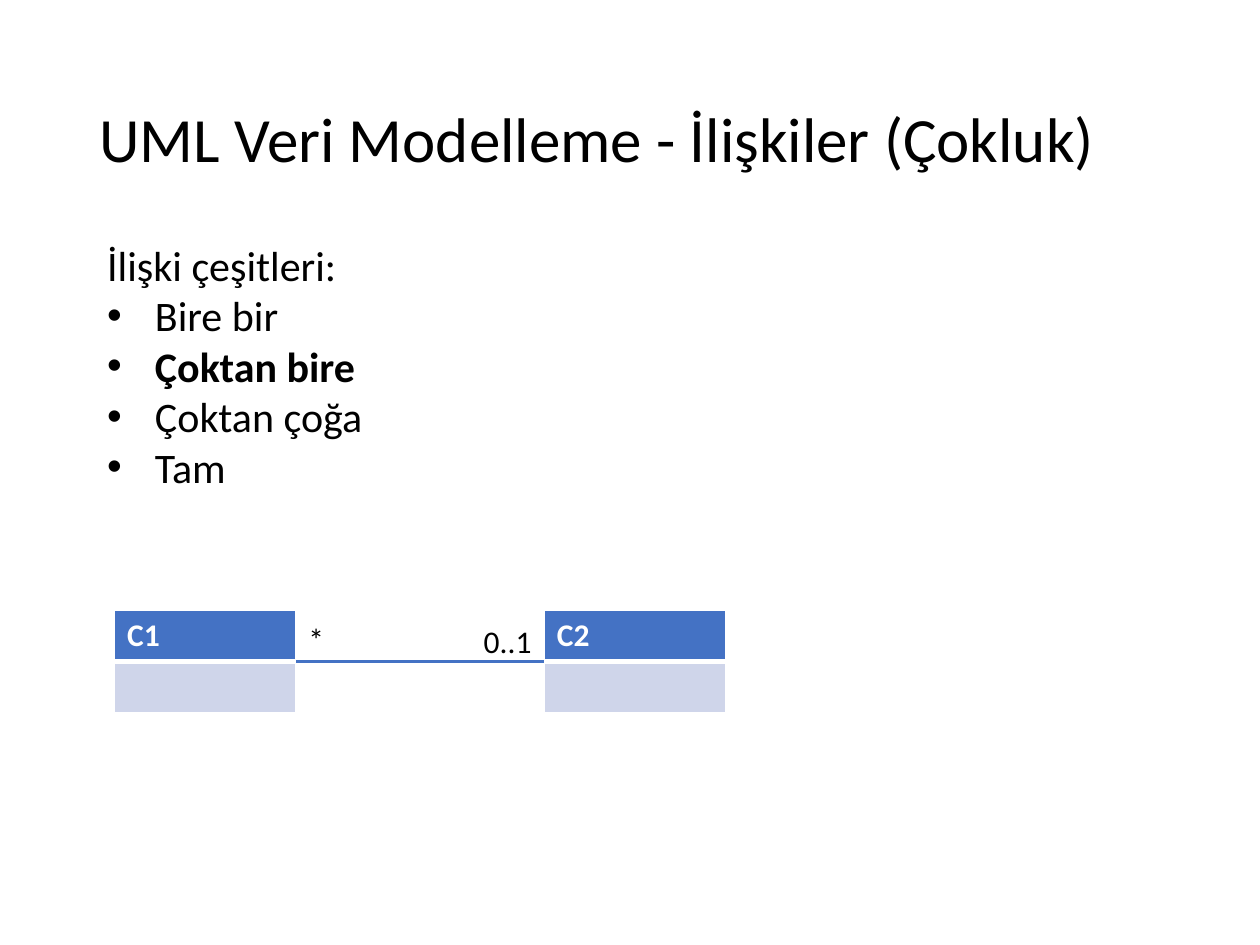
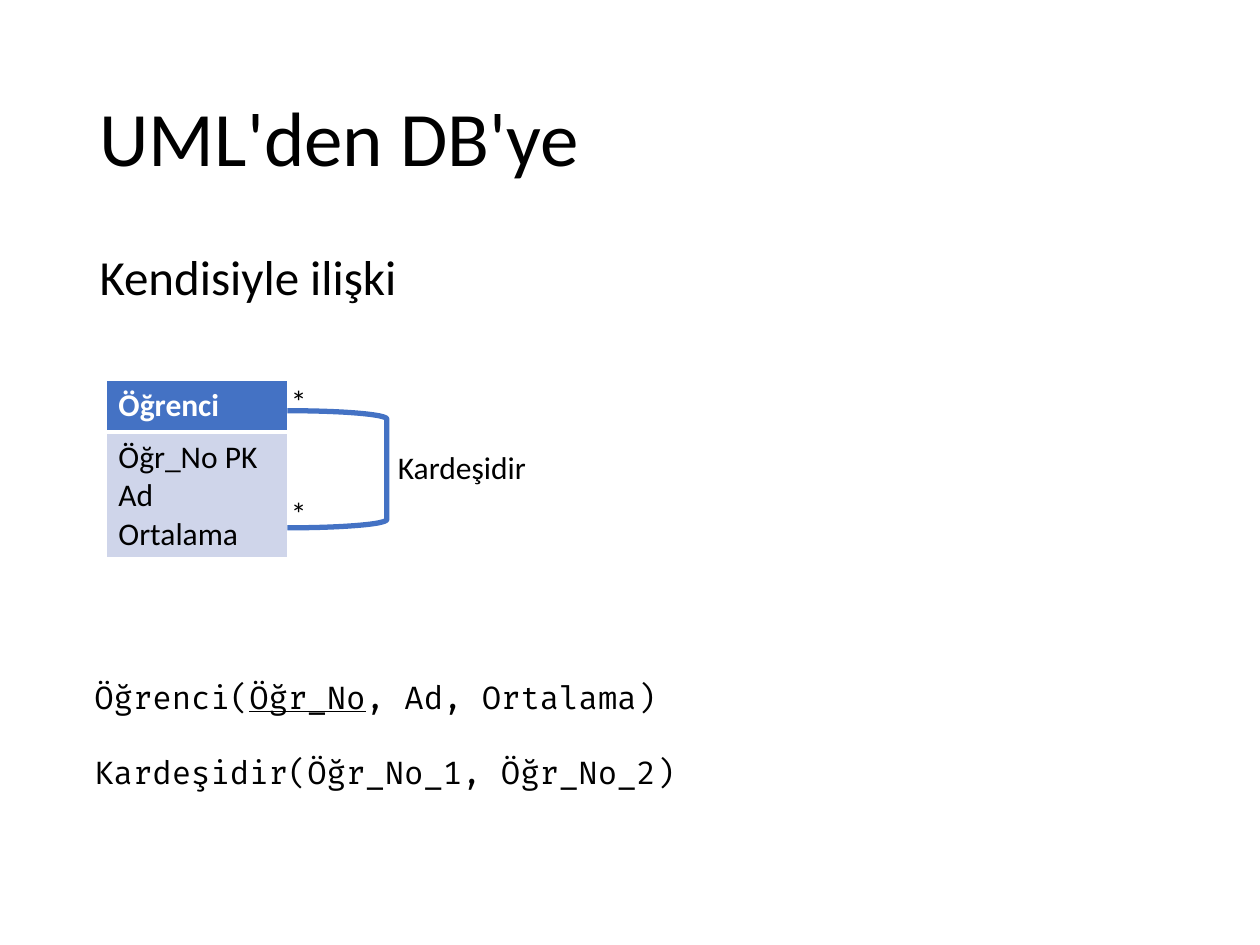
from dataclasses import dataclass

from lxml.etree import SubElement
from pptx import Presentation
from pptx.dml.color import RGBColor
from pptx.enum.shapes import MSO_CONNECTOR, MSO_SHAPE
from pptx.enum.text import MSO_ANCHOR, MSO_AUTO_SIZE, PP_ALIGN
from pptx.oxml.ns import qn
from pptx.util import Inches, Pt

BLUE, PALE, BLACK, WHITE = "4472C4", "CFD5EA", "000000", "FFFFFF"
SANS, MONO = "Calibri", "Fira Code"
ROW = 0.41


@dataclass
class Entity:
    """A UML class drawn as a header row over a row of fields."""
    name: str
    left: float
    top: float
    fields: tuple = ()
    depth: float = ROW


@dataclass
class Label:
    """A short text beside an association."""
    text: str
    left: float
    top: float
    width: float = 0.33


def tint(code: str) -> RGBColor:
    """Turn a hex string into a colour."""
    return RGBColor.from_string(code)


def put(para, text: str, size=18, font=SANS, color=BLACK, bold=False, under=False):
    """Add one formatted run to a paragraph."""
    run = para.add_run()
    run.text = text
    face = run.font
    face.name, face.size, face.bold, face.underline = font, Pt(size), bold, under
    face.color.rgb = tint(color)


def line(frame, index: int):
    """Return the first paragraph of a frame or add a further one."""
    return frame.add_paragraph() if index else frame.paragraphs[0]


def place(shape, left: float, top: float, width: float, height: float):
    """Move and size a shape."""
    shape.left, shape.top = Inches(left), Inches(top)
    shape.width, shape.height = Inches(width), Inches(height)


def mark(para, bullet: str = "", indent: float = 0):
    """Set the bullet and hanging indent of a paragraph."""
    props = para._p.get_or_add_pPr()
    props.set("marL", str(Inches(indent)))
    props.set("indent", str(-Inches(indent)))
    if bullet:
        SubElement(props, qn("a:buFont"), typeface="Arial")
        SubElement(props, qn("a:buChar"), char=bullet)
    else:
        SubElement(props, qn("a:buNone"))


def start(deck, title: str, size: int):
    """Add a slide with its title and return the slide and body."""
    slide = deck.slides.add_slide(deck.slide_layouts[1])
    head, body = slide.placeholders
    place(head, 0.69, 0.4, 8.62, 1.45)
    head.text_frame.vertical_anchor = MSO_ANCHOR.MIDDLE
    para = head.text_frame.paragraphs[0]
    para.alignment, para.line_spacing = PP_ALIGN.LEFT, 0.9
    put(para, title, size=size)
    for shape in (head, body):
        shape.text_frame.auto_size = MSO_AUTO_SIZE.NONE
    return slide, body


def edge(cell, side: str, width: float):
    """Draw one white border of a cell."""
    rule = SubElement(cell._tc.get_or_add_tcPr(), qn(f"a:ln{side}"), w=str(Pt(width)))
    SubElement(SubElement(rule, qn("a:solidFill")), qn("a:srgbClr"), val=WHITE)


def draw(slide, item: Entity):
    """Draw an entity as a table and return its frame."""
    frame = slide.shapes.add_table(2, 1, Inches(item.left), Inches(item.top),
                                   Inches(1.44), Inches(ROW + item.depth))
    table = frame.table
    rows = ((ROW, (item.name,), BLUE, WHITE, "B"),
            (item.depth, item.fields, PALE, BLACK, "T"))
    for index, (height, texts, fill, color, inner) in enumerate(rows):
        table.rows[index].height = Inches(height)
        cell = table.cell(index, 0)
        for side in "LRTB":
            edge(cell, side, 3 if side == inner else 1)
        cell.fill.solid()
        cell.fill.fore_color.rgb = tint(fill)
        for spot, text in enumerate(texts):
            put(line(cell.text_frame, spot), text, color=color, bold=index == 0)
    return frame


def box(slide, left: float, top: float, width: float, height: float):
    """Add an unwrapped text box and return its text frame."""
    shape = slide.shapes.add_textbox(Inches(left), Inches(top), Inches(width), Inches(height))
    frame = shape.text_frame
    frame.word_wrap = False
    frame.auto_size = MSO_AUTO_SIZE.SHAPE_TO_FIT_TEXT
    return frame


def note(slide, item: Label):
    """Write a label."""
    put(box(slide, item.left, item.top, item.width, 0.4).paragraphs[0], item.text)


def stroke(shape, width: float):
    """Give a shape a blue line."""
    shape.line.color.rgb = tint(BLUE)
    shape.line.width = Pt(width)


def join(slide, first, last):
    """Link two entities side to side."""
    link = slide.shapes.add_connector(MSO_CONNECTOR.STRAIGHT, 0, 0, 0, 0)
    link.begin_connect(first, 3)
    link.end_connect(last, 1)
    stroke(link, 1.5)
    SubElement(link._element.spPr, qn("a:effectLst"))


def kinds(deck):
    """Build the slide on kinds of relationship."""
    slide, body = start(deck, "UML Veri Modelleme - İlişkiler (Çokluk)", 36)
    place(body, 0.75, 1.85, 8.57, 2.12)
    items = ("İlişki çeşitleri:", "Bire bir", "Çoktan bire", "Çoktan çoğa", "Tam")
    for index, text in enumerate(items):
        para = line(body.text_frame, index)
        para.space_before = Pt(0)
        mark(para, *(("•", 0.38) if index else ()))
        put(para, text, size=24, bold=text == "Çoktan bire")
    pair = [draw(slide, Entity(name, left, 4.84)) for name, left in (("C1", 0.91), ("C2", 4.32))]
    join(slide, *pair)
    for item in (Label("*", 2.35, 4.87), Label("0..1", 3.74, 4.89, 0.58)):
        note(slide, item)


def mapping(deck):
    """Build the slide on mapping a self relationship to tables."""
    slide, body = start(deck, "UML'den DB'ye", 44)
    place(body, 0.69, 2, 8.62, 0.5)
    para = body.text_frame.paragraphs[0]
    para.line_spacing, para.space_before = 0.8, Pt(10)
    mark(para)
    put(para, "Kendisiyle ilişki", size=28)

    frame = box(slide, 0.65, 5.33, 4.88, 1.01)
    for text in ("Öğrenci(", "Öğr_No", ", Ad, Ortalama)"):
        put(frame.paragraphs[0], text, font=MONO, under=text == "Öğr_No")
    para = frame.add_paragraph()
    para.space_before = Pt(21.5)
    put(para, "Kardeşidir(Öğr_No_1, Öğr_No_2)", font=MONO)

    draw(slide, Entity("Öğrenci", 0.84, 3.02, ("Öğr_No PK", "Ad", "Ortalama"), 1))
    loop = slide.shapes.add_shape(MSO_SHAPE.RIGHT_BRACKET, Inches(2.28), Inches(3.26),
                                  Inches(0.79), Inches(0.93))
    loop.shadow.inherit = False
    loop.fill.background()
    stroke(loop, 3)
    for item in (Label("Kardeşidir", 3.06, 3.51, 1.23),
                 Label("*", 2.21, 3.87), Label("*", 2.21, 2.98)):
        note(slide, item)


def main():
    """Build and save the deck."""
    deck = Presentation()
    deck.slide_width, deck.slide_height = Inches(10), Inches(7.5)
    kinds(deck)
    mapping(deck)
    deck.save("out.pptx")


if __name__ == "__main__":
    main()
